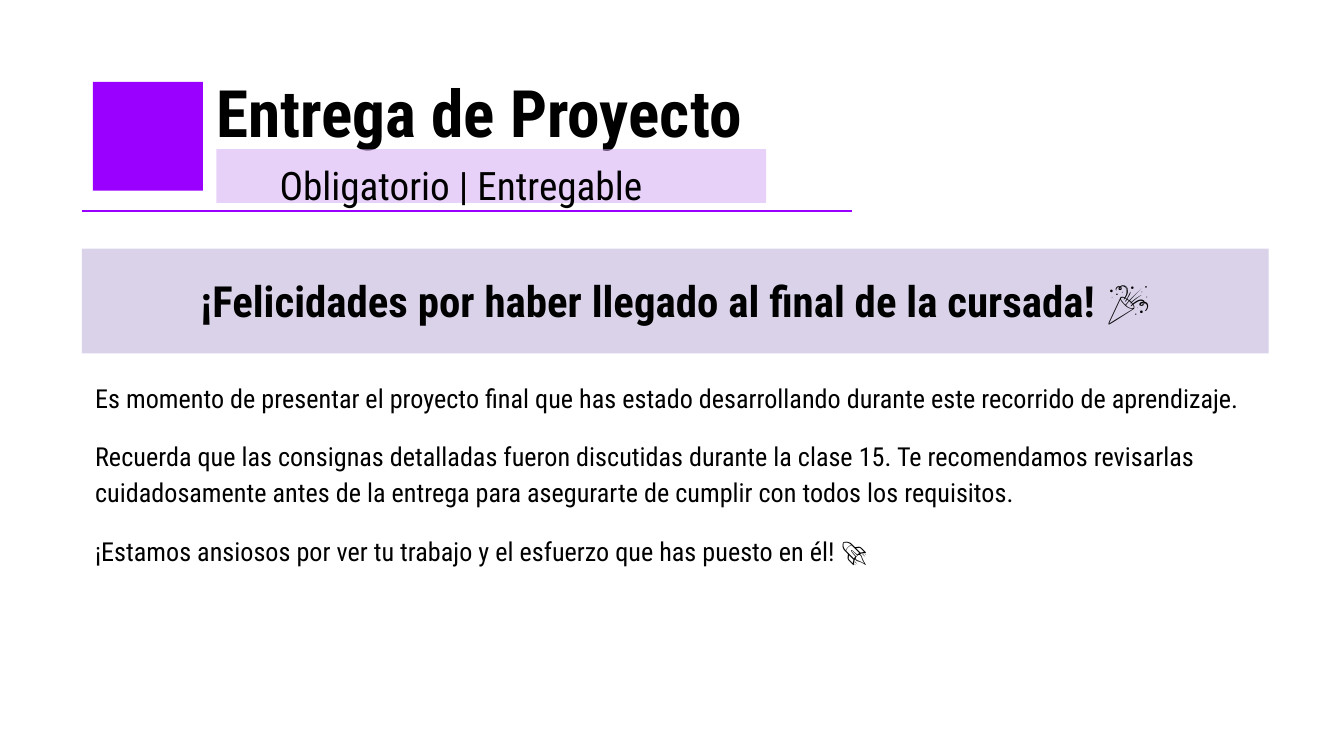
from dataclasses import dataclass

from lxml import etree
from pptx import Presentation
from pptx.dml.color import RGBColor
from pptx.enum.shapes import MSO_CONNECTOR, MSO_SHAPE
from pptx.enum.text import MSO_ANCHOR, MSO_AUTO_SIZE, PP_ALIGN
from pptx.oxml.ns import qn
from pptx.slide import Slide
from pptx.util import Inches, Pt

RECTANGLE = MSO_SHAPE.RECTANGLE
STRAIGHT = MSO_CONNECTOR.STRAIGHT
TOP = MSO_ANCHOR.TOP
GROW = MSO_AUTO_SIZE.SHAPE_TO_FIT_TEXT
FIXED = MSO_AUTO_SIZE.NONE
CENTER = PP_ALIGN.CENTER
MARGINS = ("margin_left", "margin_top", "margin_right", "margin_bottom")


def rgb(value):
    return RGBColor.from_string(value)


def apply(target, values):
    for name, value in values.items():
        setattr(target, name, value)


@dataclass
class Page:
    slide: Slide
    font: str = "Roboto Condensed"
    ink: str = "000000"
    accent: str = "9900FF"

    def block(self, left, top, width, height, color, opacity=None):
        shape = self.slide.shapes.add_shape(
            RECTANGLE, Inches(left), Inches(top), Inches(width), Inches(height)
        )
        shape.shadow.inherit = False
        shape.fill.solid()
        shape.fill.fore_color.rgb = rgb(color)
        shape.line.fill.background()
        if opacity is not None:
            fill_color = shape._element.spPr.find(qn("a:solidFill"))[0]
            alpha = etree.SubElement(fill_color, qn("a:alpha"))
            alpha.set("val", str(opacity * 1000))

    def rule(self, left, right, top):
        line = self.slide.shapes.add_connector(
            STRAIGHT, Inches(left), Inches(top), Inches(right), Inches(top)
        )
        line.line.color.rgb = rgb(self.accent)
        line.line.width = Pt(0.75)
        etree.SubElement(line._element.spPr, qn("a:effectLst"))

    def text(self, left, top, width, height, lines, size,
             bold=False, inset=0.1, fit=GROW, layout=None):
        box = self.slide.shapes.add_textbox(
            Inches(left), Inches(top), Inches(width), Inches(height)
        )
        frame = box.text_frame
        frame.text = "\n".join(lines)
        apply(frame, dict.fromkeys(MARGINS, Inches(inset)))
        apply(frame, {"word_wrap": True, "auto_size": fit, "vertical_anchor": TOP})
        for paragraph in frame.paragraphs:
            apply(paragraph, layout or {})
            for run in paragraph.runs:
                apply(run.font, {"name": self.font, "size": Pt(size), "bold": bold})
                run.font.color.rgb = rgb(self.ink)


def main():
    deck = Presentation()
    deck_width = Inches(10)
    apply(deck, {"slide_width": deck_width, "slide_height": deck_width * 9 // 16})
    page = Page(deck.slides.add_slide(deck.slide_layouts[6]))
    margin, content_width = 0.61, 8.83

    page.text(1.51, 0.44, 7.67, 0.81, ["Entrega de Proyecto"], 35, bold=True, fit=FIXED)
    page.rule(margin, 6.34, 1.57)
    page.block(0.69, 0.61, 0.82, 0.81, page.accent)
    page.block(1.61, 1.11, 4.09, 0.4, "D2A6F4", opacity=51)
    page.text(2.08, 1.13, 3.19, 0.78, ["Obligatorio | Entregable"], 21,
              inset=0, layout={"line_spacing": 1.2})

    page.block(margin, 1.85, content_width, 0.78, "D9D2E9")
    page.text(0.77, 1.94, 8.51, 0.59,
              ["¡Felicidades por haber llegado al final de la cursada! 🎉"], 23,
              bold=True, layout={"alignment": CENTER})

    message = [
        "Es momento de presentar el proyecto final que has estado desarrollando "
        "durante este recorrido de aprendizaje.",
        "Recuerda que las consignas detalladas fueron discutidas durante la clase 15. "
        "Te recomendamos revisarlas cuidadosamente antes de la entrega para asegurarte "
        "de cumplir con todos los requisitos.",
        "¡Estamos ansiosos por ver tu trabajo y el esfuerzo que has puesto en él! 🚀",
    ]
    page.text(margin, 2.71, content_width, 1.59, message, 14,
              layout={"line_spacing": 1.15, "space_after": Pt(12)})

    deck.save("out.pptx")


if __name__ == "__main__":
    main()
